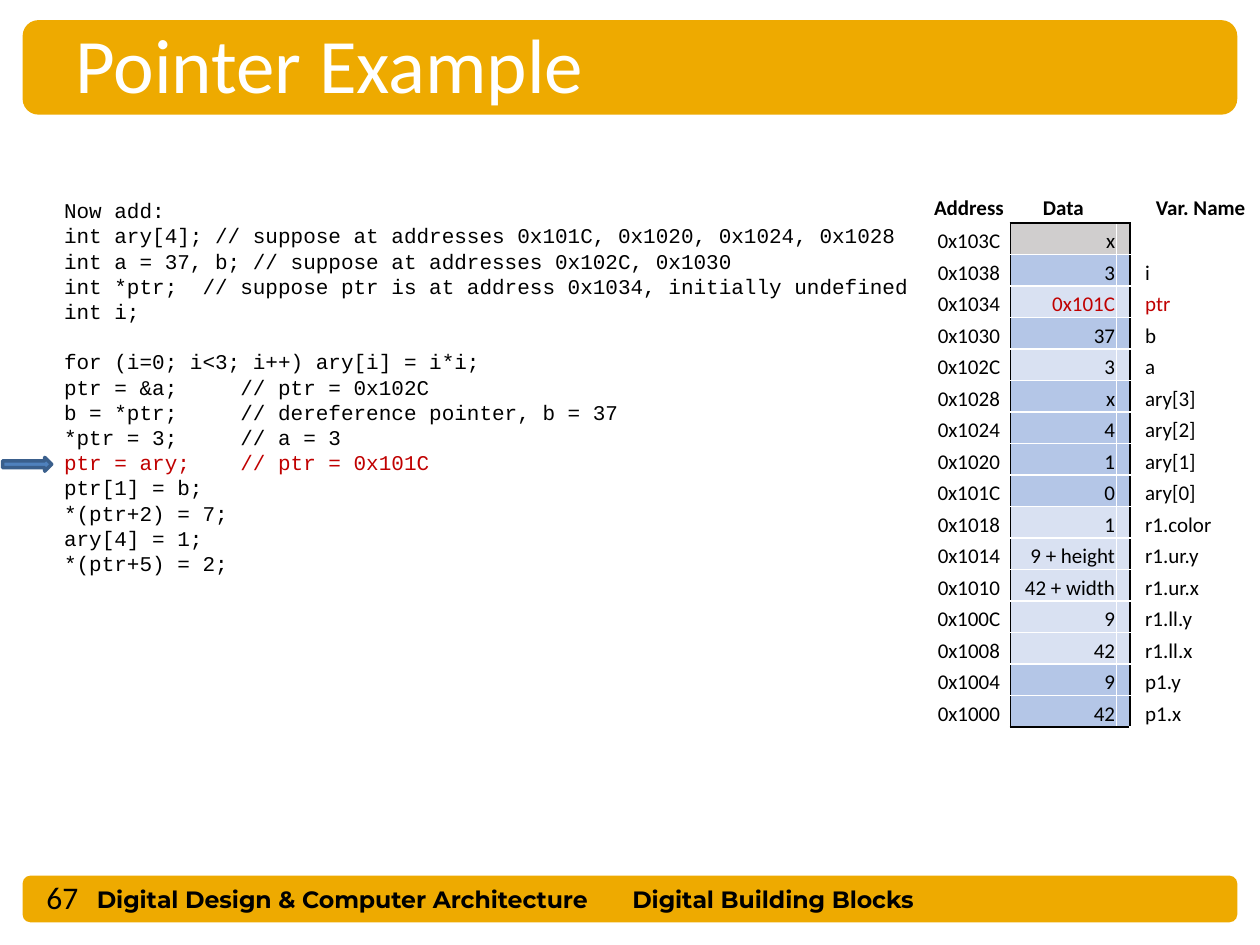
import pptx
import pptx.dml.color
import pptx.enum.shapes
import pptx.enum.text
import pptx.oxml.ns
import pptx.util
from lxml import etree

Inches, Pt = pptx.util.Inches, pptx.util.Pt
RGBColor = pptx.dml.color.RGBColor
SHAPE = pptx.enum.shapes.MSO_SHAPE
ALIGN = pptx.enum.text.PP_ALIGN
ANCHOR = pptx.enum.text.MSO_ANCHOR
qn = pptx.oxml.ns.qn

BLACK = RGBColor(0x00, 0x00, 0x00)
WHITE = RGBColor(0xFF, 0xFF, 0xFF)
GOLD = RGBColor(0xEE, 0xAA, 0x00)
RED = RGBColor(0xC0, 0x00, 0x00)
ARROW_BLUE = RGBColor(0x4F, 0x81, 0xBD)
ARROW_EDGE = RGBColor(0x3A, 0x5F, 0x8C)
GREY = RGBColor(0xD0, 0xCE, 0xCE)
MID_BLUE = RGBColor(0xB4, 0xC6, 0xE7)
PALE_BLUE = RGBColor(0xD9, 0xE1, 0xF2)

CODE = [
    "Now add:",
    "int ary[4]; // suppose at addresses 0x101C, 0x1020, 0x1024, 0x1028",
    "int a = 37, b; // suppose at addresses 0x102C, 0x1030",
    "int *ptr;  // suppose ptr is at address 0x1034, initially undefined",
    "int i;",
    "for (i=0; i<3; i++) ary[i] = i*i;",
    "ptr = &a;     // ptr = 0x102C",
    "b = *ptr;     // dereference pointer, b = 37",
    "*ptr = 3;     // a = 3",
    "ptr = ary;    // ptr = 0x101C",
    "ptr[1] = b;",
    "*(ptr+2) = 7;",
    "ary[4] = 1;",
    "*(ptr+5) = 2;",
]
LOOP_LINE, CURRENT_LINE = 5, 9

# Data, variable name and fill of each word, from the top address down
TOP_ADDRESS, WORD_BYTES = 0x103C, 4
MEMORY = [
    ("x", "", GREY),
    ("3", "i", MID_BLUE),
    ("0x101C", "ptr", PALE_BLUE),
    ("37", "b", MID_BLUE),
    ("3", "a", PALE_BLUE),
    ("x", "ary[3]", MID_BLUE),
    ("4", "ary[2]", MID_BLUE),
    ("1", "ary[1]", MID_BLUE),
    ("0", "ary[0]", MID_BLUE),
    ("1", "r1.color", PALE_BLUE),
    ("9 + height", "r1.ur.y", PALE_BLUE),
    ("42 + width", "r1.ur.x", PALE_BLUE),
    ("9", "r1.ll.y", PALE_BLUE),
    ("42", "r1.ll.x", PALE_BLUE),
    ("9", "p1.y", MID_BLUE),
    ("42", "p1.x", MID_BLUE),
]


class SlideBuilder:
    body_font = "Calibri"
    code_font = "Courier New"
    footer_font = "Montserrat"
    code_pitch = Pt(14.4)

    def __init__(self, slide):
        self.slide = slide

    def style(self, paragraph, font, size, color=BLACK, bold=False):
        for run in paragraph.runs:
            run.font.name = font
            run.font.size = Pt(size)
            run.font.color.rgb = color
            run.font.bold = bold

    def shape(self, kind, left, top, width, height, fill, edge=None):
        shape = self.slide.shapes.add_shape(
            kind, Inches(left), Inches(top), Inches(width), Inches(height))
        shape.shadow.inherit = False
        shape.fill.solid()
        shape.fill.fore_color.rgb = fill
        if edge is None:
            shape.line.fill.background()
        else:
            shape.line.color.rgb = edge
            shape.line.width = Pt(2)

    def text(self, left, top, width, height, text, font, size,
             color=BLACK, bold=False, anchor=ANCHOR.MIDDLE):
        box = self.slide.shapes.add_textbox(
            Inches(left), Inches(top), Inches(width), Inches(height))
        frame = box.text_frame
        frame.word_wrap = True
        frame.vertical_anchor = anchor
        frame.text = text
        for paragraph in frame.paragraphs:
            self.style(paragraph, font, size, color, bold)
        return frame

    def code(self, left, top, width, height, lines):
        frame = self.text(left, top, width, height, "\n".join(lines),
                          self.code_font, 12, anchor=ANCHOR.TOP)
        for paragraph in frame.paragraphs:
            paragraph.line_spacing = self.code_pitch
        frame.paragraphs[LOOP_LINE].space_before = self.code_pitch
        self.style(frame.paragraphs[CURRENT_LINE], self.code_font, 12, RED)

    def borders(self, cell, **colors):
        properties = cell._tc.get_or_add_tcPr()
        for side in "LRTB":
            if side in colors:
                line = etree.SubElement(properties, qn(f"a:ln{side}"), w=str(Pt(1)))
                solid = etree.SubElement(line, qn("a:solidFill"))
                etree.SubElement(solid, qn("a:srgbClr"), val=str(colors[side]))

    def cell(self, cell, text="", align=ALIGN.LEFT, color=BLACK, bold=False,
             anchor=ANCHOR.BOTTOM, fill=None, **borders):
        cell.margin_left = cell.margin_right = cell.margin_top = Inches(0.01)
        cell.margin_bottom = 0
        cell.vertical_anchor = anchor
        self.borders(cell, **borders)
        if fill is None:
            cell.fill.background()
        else:
            cell.fill.solid()
            cell.fill.fore_color.rgb = fill
        paragraph = cell.text_frame.paragraphs[0]
        if text:
            paragraph.text = text
            paragraph.alignment = align
            self.style(paragraph, self.body_font, 12, color, bold)
        else:  # keeps the row from growing to the default text size
            etree.SubElement(paragraph._p, qn("a:endParaRPr"), sz="1200")

    def memory_table(self, left, top, widths, row_height):
        rows = len(MEMORY) + 1
        table = self.slide.shapes.add_table(
            rows, len(widths), Inches(left), Inches(top),
            Inches(sum(widths)), Inches(row_height * rows)).table
        table.first_row = table.horz_banding = False
        for column, width in zip(table.columns, widths):
            column.width = Inches(width)
        for row in table.rows:
            row.height = Inches(row_height)

        # Header row
        for column, title in enumerate(["Address", "Data", "", "", "Var. Name"]):
            edge = {"B": BLACK} if column in (1, 2) else {}
            self.cell(table.cell(0, column), title, ALIGN.CENTER, bold=True,
                      anchor=ANCHOR.MIDDLE, **edge)

        # One row per word: the data cell and its padding share a fill and outline
        for row, (data, name, fill) in enumerate(MEMORY, start=1):
            address = f"0x{TOP_ADDRESS - WORD_BYTES * (row - 1):X}"
            color = RED if name == "ptr" else BLACK
            edges = {"T": BLACK if row == 1 else WHITE,
                     "B": BLACK if row == len(MEMORY) else WHITE}
            self.cell(table.cell(row, 0), address, ALIGN.CENTER, R=BLACK)
            self.cell(table.cell(row, 1), data, ALIGN.RIGHT, color,
                      fill=fill, L=BLACK, **edges)
            self.cell(table.cell(row, 2), fill=fill, R=BLACK, **edges)
            self.cell(table.cell(row, 3), L=BLACK)
            self.cell(table.cell(row, 4), name, color=color)


def main():
    deck = pptx.Presentation()
    deck.slide_width, deck.slide_height = Inches(10), Inches(7.5)
    builder = SlideBuilder(deck.slides.add_slide(deck.slide_layouts[6]))

    # Title and footer bands
    builder.shape(SHAPE.ROUNDED_RECTANGLE, 0.18, 6.95, 9.64, 0.37, GOLD)
    builder.shape(SHAPE.ROUNDED_RECTANGLE, 0.18, 0.16, 9.64, 0.75, GOLD)
    builder.text(0.67, 6.97, 4.44, 0.33, "Digital Design & Computer Architecture",
                 builder.footer_font, 13.5, bold=True)
    builder.text(4.92, 6.97, 2.94, 0.33, "Digital Building Blocks",
                 builder.footer_font, 13.5, bold=True)
    builder.text(0.5, 0.08, 8.67, 0.84, "Pointer Example",
                 builder.body_font, 44, WHITE)

    # Code with an arrow at the current statement
    builder.code(0.41, 1.52, 6.95, 3.13, CODE)
    builder.shape(SHAPE.RIGHT_ARROW, 0.02, 3.63, 0.39, 0.11, ARROW_BLUE, ARROW_EDGE)

    # Memory contents
    builder.memory_table(7.36, 1.52, [0.66, 0.84, 0.11, 0.11, 0.9], 0.25)

    # Page number
    builder.text(0.27, 6.92, 0.82, 0.39, "67", builder.body_font, 18)

    deck.save("out.pptx")


if __name__ == "__main__":
    main()
